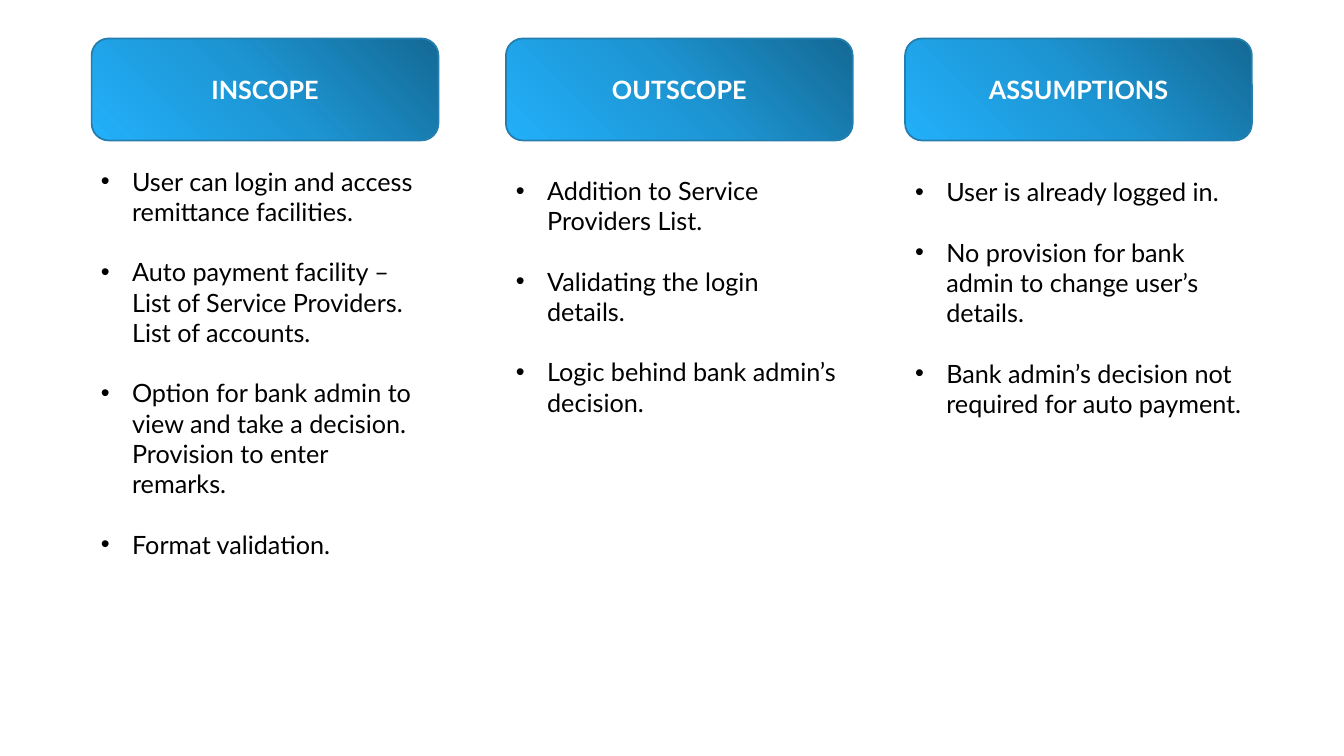
"""Build a scope slide: three headed columns of bullet points."""
from copy import deepcopy

from lxml import etree
from pptx import Presentation
from pptx.dml.color import RGBColor
from pptx.enum.shapes import MSO_SHAPE
from pptx.enum.text import MSO_ANCHOR, PP_ALIGN
from pptx.oxml.ns import qn
from pptx.util import Cm, Pt

ROUNDED = MSO_SHAPE.ROUNDED_RECTANGLE
MIDDLE, TOP = MSO_ANCHOR.MIDDLE, MSO_ANCHOR.TOP
CENTER, LEFT = PP_ALIGN.CENTER, PP_ALIGN.LEFT

COLUMNS = [
    {"heading": "INSCOPE", "left": 2.31, "list_box": (2.29, 4.06, 8.56, 14.12),
     "points": ["User can login and access remittance facilities.",
                "Auto payment facility – List of Service Providers. List of accounts.",
                "Option for bank admin to view and take a decision. Provision to enter remarks.",
                "Format validation."]},
    {"heading": "OUTSCOPE", "left": 12.75, "list_box": (12.75, 4.29, 8.74, 8.74),
     "points": ["Addition to Service Providers List.",
                "Validating the login details.",
                "Logic behind bank admin’s decision."]},
    {"heading": "ASSUMPTIONS", "left": 22.81, "list_box": (22.81, 4.32, 8.74, 6.4),
     "points": ["User is already logged in.",
                "No provision for bank admin to change user’s details.",
                "Bank admin’s decision not required for auto payment."]},
]
HEADING_TOP, HEADING_WIDTH, HEADING_HEIGHT = 0.97, 8.74, 2.57
INDENT = Cm(0.79)

THEME = {
    "gradient": [(0, "146994"), (0.5, "1D95D3"), (1, "22B0FA")],
    "gradient_angle": 225,
    "line": "247FAF",
    "line_width": Pt(1.25),
    "heading": {"name": "Lato", "size": Pt(18), "bold": True, "color": "FFFFFF"},
    "body": {"name": "Lato", "size": Pt(18), "bold": False, "color": "000000"},
    "point_gap": Pt(21.6),
}


def write(p, text, style):
    r = p.add_run()
    r.text = text
    for key, value in style.items():
        if key == "color":
            r.font.color.rgb = RGBColor.from_string(value)
        else:
            setattr(r.font, key, value)


def add_heading(slide, text, left):
    s = slide.shapes.add_shape(ROUNDED, Cm(left), Cm(HEADING_TOP),
                               Cm(HEADING_WIDTH), Cm(HEADING_HEIGHT))
    s.shadow.inherit = False
    s.fill.gradient()
    s.fill.gradient_angle = THEME["gradient_angle"]
    stops = s._element.spPr.find(".//" + qn("a:gsLst"))
    stops.insert(1, deepcopy(stops[0]))
    for stop, (position, color) in zip(s.fill.gradient_stops, THEME["gradient"]):
        stop.position = position
        stop.color.rgb = RGBColor.from_string(color)
    s.line.color.rgb = RGBColor.from_string(THEME["line"])
    s.line.width = THEME["line_width"]
    tf = s.text_frame
    tf.vertical_anchor = MIDDLE
    p = tf.paragraphs[0]
    p.alignment = CENTER
    write(p, text, THEME["heading"])


def add_points(slide, points, box):
    tf = slide.shapes.add_textbox(*map(Cm, box)).text_frame
    tf.word_wrap = True
    tf.vertical_anchor = TOP
    for i, point in enumerate(points):
        p = tf.add_paragraph() if i else tf.paragraphs[0]
        p.alignment = LEFT
        p.space_before = THEME["point_gap"] if i else Pt(0)
        pPr = p._p.get_or_add_pPr()
        pPr.set("marL", str(INDENT))
        pPr.set("indent", str(-INDENT))
        etree.SubElement(pPr, qn("a:buFont")).set("typeface", "Arial")
        etree.SubElement(pPr, qn("a:buChar")).set("char", "•")
        write(p, point, THEME["body"])


prs = Presentation()
prs.slide_width, prs.slide_height = Cm(33.87), Cm(19.05)
slide = prs.slides.add_slide(prs.slide_layouts[6])
for column in COLUMNS:
    add_heading(slide, column["heading"], column["left"])
    add_points(slide, column["points"], column["list_box"])
prs.save("out.pptx")
